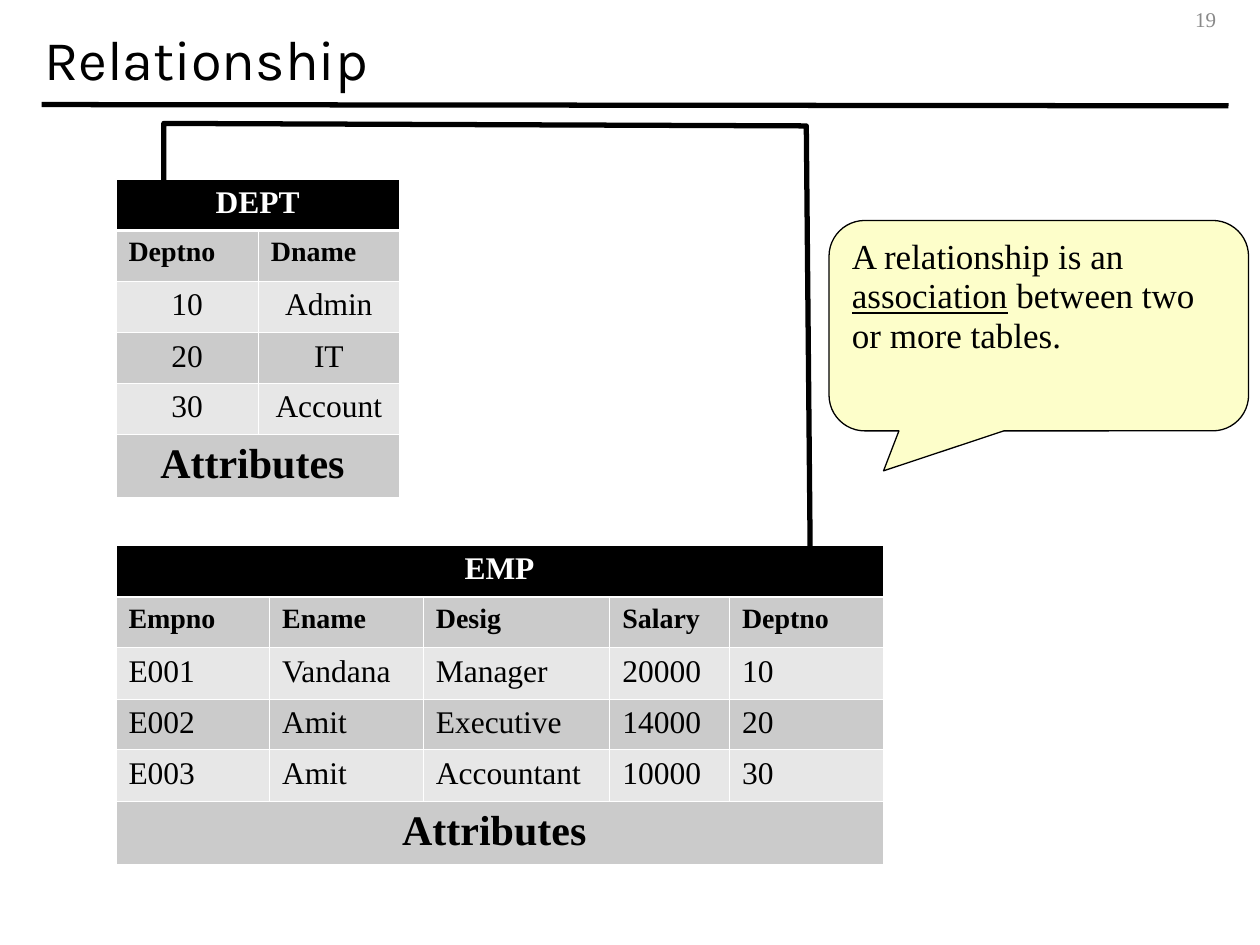
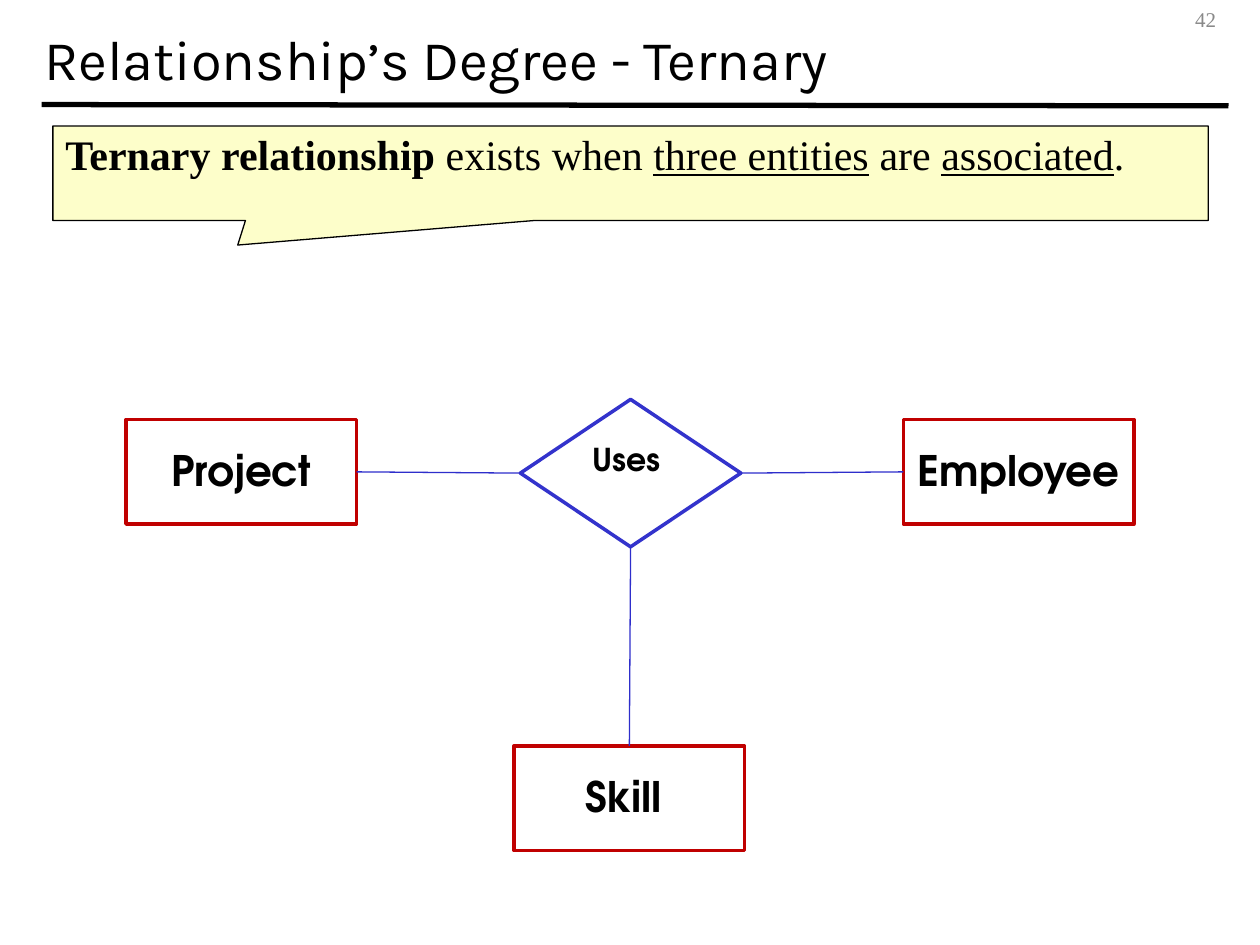
from lxml.etree import SubElement
from pptx import Presentation
from pptx.dml.color import RGBColor
from pptx.enum.shapes import MSO_CONNECTOR, MSO_SHAPE
from pptx.enum.text import MSO_ANCHOR, MSO_AUTO_SIZE, PP_ALIGN
from pptx.oxml import parse_xml
from pptx.oxml.ns import nsdecls, qn
from pptx.util import Inches, Pt

BLACK = RGBColor(0x00, 0x00, 0x00)
WHITE = RGBColor(0xFF, 0xFF, 0xFF)
NUMBER_GRAY = RGBColor(0x89, 0x89, 0x89)
BAND_DARK = RGBColor(0xCB, 0xCB, 0xCB)
BAND_LIGHT = RGBColor(0xE7, 0xE7, 0xE7)
NOTE_YELLOW = RGBColor(0xFD, 0xFE, 0xCA)
ENTITY_RED = RGBColor(0xC0, 0x00, 0x00)
RELATION_BLUE = RGBColor(0x33, 0x33, 0xCC)
LINK_BLUE = RGBColor(0x2E, 0x2E, 0xCB)

TITLE_FONT = "Karla"
BODY_FONT = "Times New Roman"
DIAGRAM_FONT = "TeX Gyre Adventor"

ROW_HEIGHTS = (0.41, 0.4, 0.41, 0.4, 0.41, 0.5)
ENTITY_SIZE = (1.83, 0.83)
TOP, LEFT, BOTTOM, RIGHT = range(4)


def format_paragraph(paragraph, size, font=BODY_FONT, color=BLACK, bold=False,
                     align=PP_ALIGN.LEFT, spacing=None):
    """Set the alignment, line spacing and font of a paragraph."""
    paragraph.alignment = align
    if spacing:
        paragraph.line_spacing = spacing
    paragraph.font.name = font
    paragraph.font.size = Pt(size)
    paragraph.font.bold = bold
    paragraph.font.color.rgb = color


def add_line(slide, color, width, start=(0, 0), end=(0, 0)):
    """Draw a straight line without a shadow."""
    points = [Inches(value) for value in (*start, *end)]
    line = slide.shapes.add_connector(MSO_CONNECTOR.STRAIGHT, *points)
    line.line.color.rgb = color
    line.line.width = Pt(width)
    SubElement(line.element.spPr, qn("a:effectLst"))
    return line


def add_titled_slide(deck, heading, number):
    """Add a slide with its heading, rule and page number."""
    slide = deck.slides.add_slide(deck.slide_layouts[5])
    add_line(slide, BLACK, 3, (0.33, 0.83), (9.75, 0.84))

    title = slide.shapes.title
    title.left, title.top = Inches(0.25), Inches(0)
    title.width, title.height = Inches(9.5), Inches(0.91)
    title.text_frame.text = heading
    title.text_frame.auto_size = MSO_AUTO_SIZE.NONE
    title.text_frame.vertical_anchor = MSO_ANCHOR.MIDDLE
    format_paragraph(title.text_frame.paragraphs[0], 32, TITLE_FONT, spacing=1.01)

    page = slide.shapes.add_textbox(Inches(7.67), Inches(0), Inches(2.08), Inches(0.33))
    page.text_frame.word_wrap = True
    page.text_frame.vertical_anchor = MSO_ANCHOR.MIDDLE
    page.text_frame.text = number
    format_paragraph(page.text_frame.paragraphs[0], 12, color=NUMBER_GRAY,
                     align=PP_ALIGN.RIGHT, spacing=0.95)
    return slide


def add_figure(slide, preset, position, size, fill, outline, width):
    """Add a flat preset shape with a fill and an outline."""
    figure = slide.shapes.add_shape(preset, *map(Inches, (*position, *size)))
    figure.shadow.inherit = False
    figure.fill.solid()
    figure.fill.fore_color.rgb = fill
    figure.line.color.rgb = outline
    figure.line.width = Pt(width)
    return figure


def add_callout(slide, preset, position, size, adjustments, phrases, font_size):
    """Add a yellow callout; phrases are (text, style) pairs."""
    callout = add_figure(slide, preset, position, size, NOTE_YELLOW, BLACK, 0.75)
    for index, value in enumerate(adjustments):
        callout.adjustments[index] = value
    callout.text_frame.vertical_anchor = MSO_ANCHOR.TOP
    paragraph = callout.text_frame.paragraphs[0]
    format_paragraph(paragraph, font_size, spacing=0.95)
    for text, style in phrases:
        run = paragraph.add_run()
        run.text = text
        if style == "bold":
            run.font.bold = True
        elif style == "underline":
            run.font.underline = True


def add_node(slide, preset, label, position, size, outline, font_size, anchor):
    """Add a labelled white node of the entity diagram."""
    node = add_figure(slide, preset, position, size, WHITE, outline, 2)
    node.text_frame.text = label
    node.text_frame.vertical_anchor = anchor
    format_paragraph(node.text_frame.paragraphs[0], font_size, DIAGRAM_FONT,
                     bold=True, align=PP_ALIGN.CENTER, spacing=0.95)
    return node


def add_entity(slide, label, left, top):
    """Add a red entity box."""
    return add_node(slide, MSO_SHAPE.RECTANGLE, label, (left, top), ENTITY_SIZE,
                    ENTITY_RED, 24, MSO_ANCHOR.MIDDLE)


def link(slide, source, source_side, target, target_side):
    """Join two nodes with a thin line."""
    line = add_line(slide, LINK_BLUE, 0.75)
    line.begin_connect(source, source_side)
    line.end_connect(target, target_side)


def set_borders(cell, top, bottom):
    """Give a cell white borders with the given top and bottom widths."""
    properties = cell._tc.get_or_add_tcPr()
    sides = (("lnL", 0.45), ("lnR", 0.45), ("lnT", top), ("lnB", bottom))
    for index, (side, width) in enumerate(sides):
        properties.insert(index, parse_xml(
            f'<a:{side} {nsdecls("a")} w="{Pt(width)}"><a:solidFill>'
            f'<a:srgbClr val="{WHITE}"/></a:solidFill></a:{side}>'))


def add_relation_table(slide, top, widths, name, fields, records, record_align):
    """Add a table with a name row, field row, records and closing row."""
    blanks = [""] * (len(fields) - 1)
    rows = [[name, *blanks], fields, *records, ["Attributes ", *blanks]]
    last = len(rows) - 1
    table = slide.shapes.add_table(
        len(rows), len(fields), Inches(0.92), Inches(top),
        Inches(sum(widths)), Inches(sum(ROW_HEIGHTS))).table
    table.first_row = table.horz_banding = False
    for column, width in zip(table.columns, widths):
        column.width = Inches(width)
    for row, height in zip(table.rows, ROW_HEIGHTS):
        row.height = Inches(height)

    row_styles = {
        0: dict(size=18, color=WHITE, bold=True, align=PP_ALIGN.CENTER),
        1: dict(size=16, bold=True),
        last: dict(size=24, bold=True, align=PP_ALIGN.CENTER),
    }
    record_style = dict(size=18, align=record_align)
    for r, row in enumerate(rows):
        for c, text in enumerate(row):
            cell = table.cell(r, c)
            cell.text = text
            format_paragraph(cell.text_frame.paragraphs[0],
                             **row_styles.get(r, record_style))
            cell.fill.solid()
            band = BAND_DARK if r % 2 else BAND_LIGHT
            cell.fill.fore_color.rgb = BLACK if r == 0 else band
            set_borders(cell, 1.47 if r == 1 else 0.45, 1.47 if r == 0 else 0.45)
    for r in (0, last):
        table.cell(r, 0).merge(table.cell(r, len(fields) - 1))


def add_key_path(slide, start, *corners):
    """Draw the bent line that joins the key columns of two tables."""
    builder = slide.shapes.build_freeform(*map(Inches, start))
    builder.add_line_segments([(Inches(x), Inches(y)) for x, y in corners], close=False)
    key_path = builder.convert_to_shape()
    key_path.shadow.inherit = False
    key_path.fill.background()
    key_path.line.color.rgb = BLACK
    key_path.line.width = Pt(3)


def build_relationship(deck):
    """Build the slide that relates departments to employees."""
    slide = add_titled_slide(deck, "Relationship", "19")
    add_relation_table(
        slide, 1.42, (1.13, 1.12), "DEPT", ["Deptno", "Dname"],
        [["10", "Admin"], ["20", "IT"], ["30", "Account"]], PP_ALIGN.CENTER)
    add_relation_table(
        slide, 4.33, (1.22, 1.22, 1.48, 0.95, 1.22), "EMP",
        ["Empno", "Ename", "Desig", "Salary", "Deptno"],
        [["E001", "Vandana", "Manager", "20000", "10"],
         ["E002", "Amit", "Executive", "14000", "20"],
         ["E003", "Amit", "Accountant", "10000", "30"]], PP_ALIGN.LEFT)
    add_key_path(slide, (1.3, 1.43), (1.3, 0.98), (6.4, 1), (6.43, 4.34))
    add_callout(
        slide, MSO_SHAPE.ROUNDED_RECTANGULAR_CALLOUT, (6.58, 1.75), (3.33, 1.67),
        (-0.37, 0.69, 0.17),
        [("A relationship is an ", ""), ("association", "underline"),
         (" between two or more tables.", "")], 20)


def build_ternary(deck):
    """Build the slide with the three-entity diagram."""
    slide = add_titled_slide(deck, "Relationship’s Degree - Ternary", "42")
    add_callout(
        slide, MSO_SHAPE.RECTANGULAR_CALLOUT, (0.42, 1), (9.17, 0.75), (-0.34, 0.76),
        [("Ternary relationship ", "bold"), ("exists when ", ""),
         ("three entities", "underline"), (" are ", ""),
         ("associated", "underline"), (".", "")], 24)
    project = add_entity(slide, "Project", 1, 3.33)
    employee = add_entity(slide, "Employee ", 7.17, 3.33)
    skill = add_entity(slide, "Skill ", 4.08, 5.92)
    uses = add_node(slide, MSO_SHAPE.DIAMOND, "Uses ", (4.13, 3.17), (1.75, 1.17),
                    RELATION_BLUE, 18, MSO_ANCHOR.TOP)
    link(slide, skill, TOP, uses, BOTTOM)
    link(slide, project, RIGHT, uses, LEFT)
    link(slide, uses, RIGHT, employee, LEFT)


def main():
    """Build and save the deck."""
    deck = Presentation()
    deck.slide_width, deck.slide_height = Inches(10), Inches(7.5)
    build_relationship(deck)
    build_ternary(deck)
    deck.save("out.pptx")


if __name__ == "__main__":
    main()
